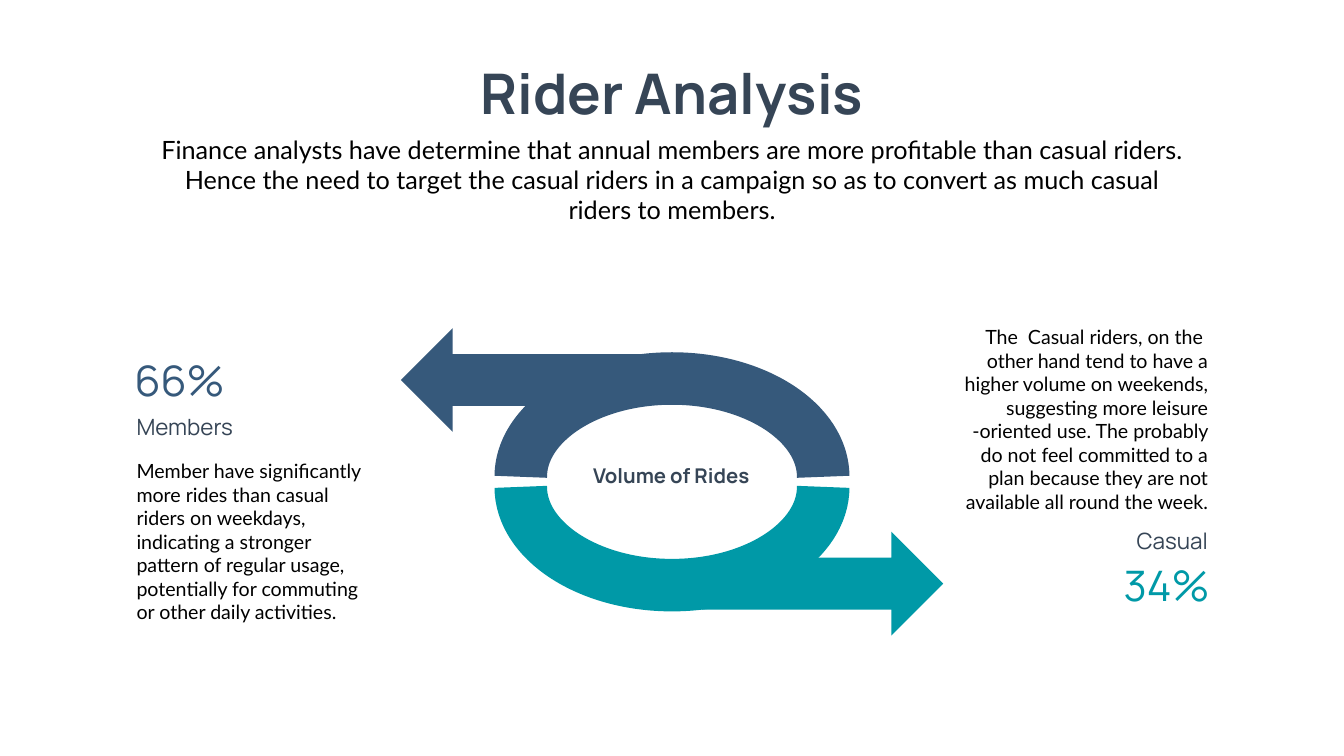
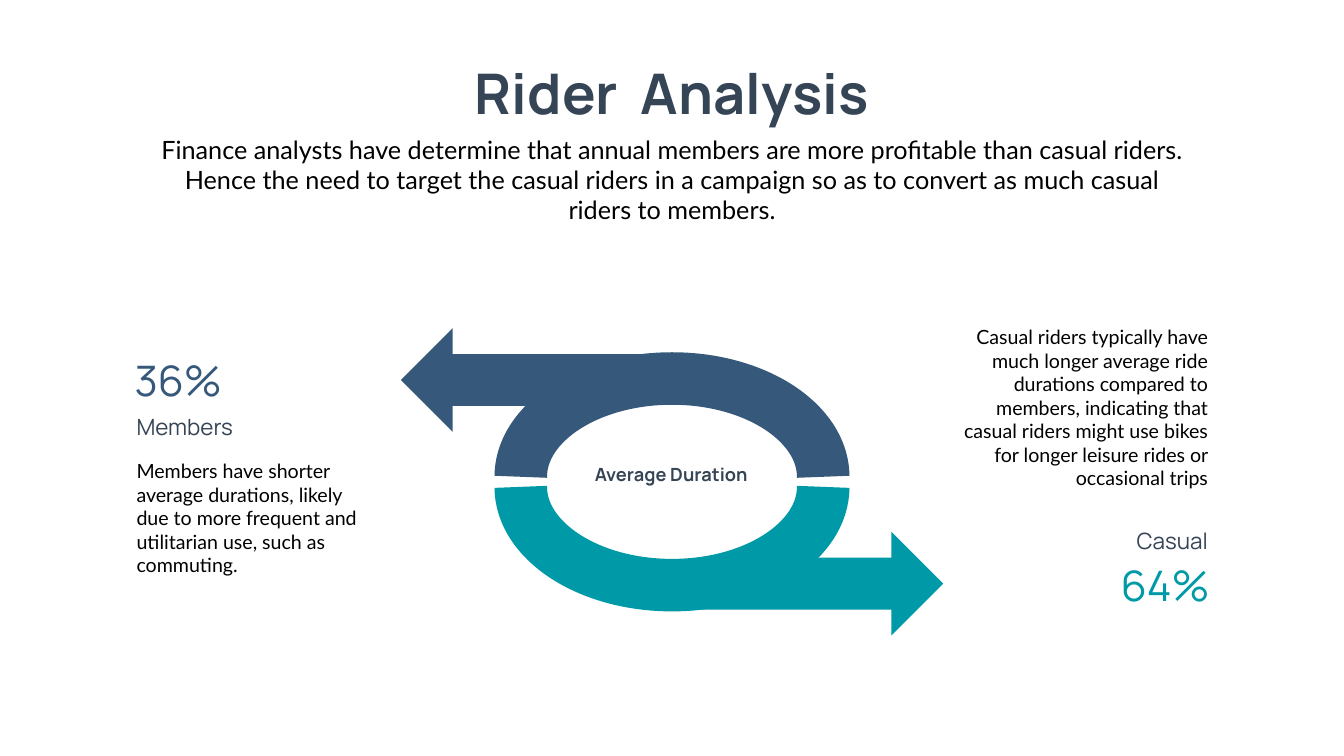
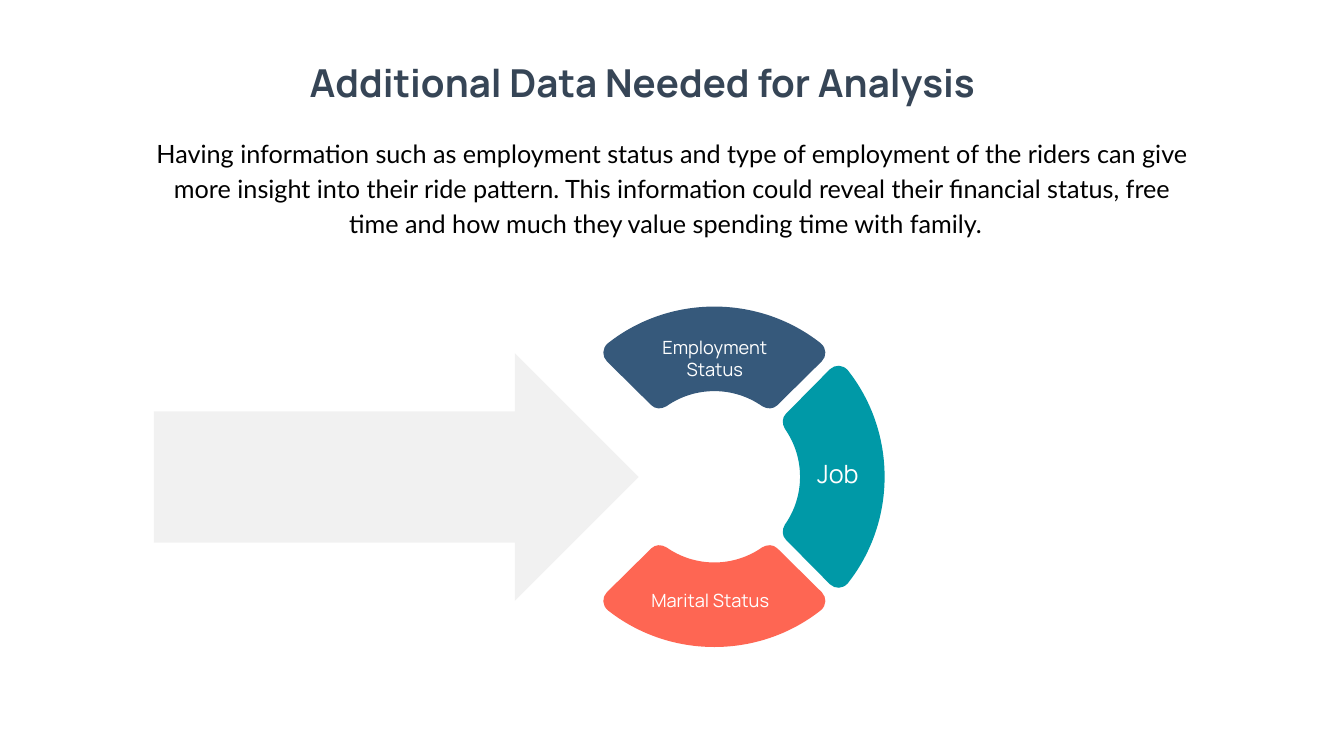
import pptx
import pptx.dml.color
import pptx.enum.shapes
import pptx.enum.text
import pptx.oxml.ns
import pptx.util
from lxml import etree

EMU_PER_PX = 9144
NAVY, TEAL, CORAL, GREY = "36597B", "0099A7", "FE6653", "7F7F7F"
SLATE, BLACK, WHITE = "364556", "000000", "FFFFFF"
LEFT, CENTER, RIGHT = (
    pptx.enum.text.PP_ALIGN.LEFT,
    pptx.enum.text.PP_ALIGN.CENTER,
    pptx.enum.text.PP_ALIGN.RIGHT,
)
FRAME_FORMAT = {
    "word_wrap": True,
    "vertical_anchor": pptx.enum.text.MSO_ANCHOR.TOP,
    "margin_left": 10 * EMU_PER_PX,
    "margin_right": 10 * EMU_PER_PX,
    "margin_top": 5 * EMU_PER_PX,
    "margin_bottom": 5 * EMU_PER_PX,
}
FIXED = pptx.enum.text.MSO_AUTO_SIZE.NONE
GROWING = pptx.enum.text.MSO_AUTO_SIZE.SHAPE_TO_FIT_TEXT
NOTE_STYLE = {"font": "Lato", "sizing": FIXED}

TITLE_BOX = (676, 112, 1314, 145)
INTRO = (
    "Finance analysts have determine that annual members are more profitable than "
    "casual riders. Hence the need to target the casual riders in a campaign so as "
    "to convert as much casual riders to members."
)
RIDER_SLIDES = [
    {
        "title": "Rider Analysis",
        "measure": "Volume of Rides",
        "measure_size": 29,
        "member_share": "66%",
        "member_note": "Member have significantly more rides than casual riders on "
        "weekdays, indicating a stronger pattern of regular usage, potentially for "
        "commuting or other daily activities.",
        "casual_share": "34%",
        "casual_note": "The  Casual riders, on the  other hand tend to have a higher "
        "volume on weekends, suggesting more leisure -oriented use. The probably do "
        "not feel committed to a plan because they are not available all round the "
        "week.",
    },
    {
        "title": "Rider  Analysis",
        "measure": "Average Duration",
        "measure_size": 26,
        "member_share": "36%",
        "member_note": "Members have shorter average durations, likely due to more "
        "frequent and utilitarian use, such as commuting.",
        "casual_share": "64%",
        "casual_note": "Casual riders typically have much longer average ride durations "
        "compared to members, indicating that casual riders might use bikes for longer "
        "leisure rides or occasional trips",
    },
]
DATA_INTRO = (
    "Having information such as employment status and type of employment of the riders "
    "can give more insight into their ride pattern. This information could reveal their "
    "financial status, free time and how much they value spending time with family.  "
)

HALF_RING = [
    (-300, 0),
    (-300, 107), (-166, 195), (0, 195),
    (166, 195), (300, 107), (300, 0),
]
RING_DEPTH = 195
WHEEL_CENTER = (1417, 946)
WEDGE = [
    (-125, -142),
    (-213, -229), (-213, -229), (-213, -229),
    (-223, -239), (-223, -255), (-211, -265),
    (-88, -362), (88, -362), (211, -265),
    (223, -255), (223, -239), (213, -229),
    (125, -142), (125, -142), (125, -142),
    (117, -134), (105, -134), (95, -140),
    (38, -180), (-38, -180), (-95, -140),
    (-105, -134), (-117, -134), (-125, -142),
]


def px(length):
    """Turn a length in px into EMU."""
    return round(length * EMU_PER_PX)


def color(hex_code):
    """Return the RGB colour of a hex string."""
    return pptx.dml.color.RGBColor.from_string(hex_code)


def apply_format(target, values):
    """Set each attribute named in values on target."""
    for attribute, value in values.items():
        setattr(target, attribute, value)


def write_text(holder, text, size, hex_code, align, font="Manrope", bold=False,
               spacing=1.0, sizing=GROWING):
    """Fill a text holder with one formatted paragraph."""
    frame = holder.text_frame
    apply_format(frame, {**FRAME_FORMAT, "auto_size": sizing})
    paragraph = frame.paragraphs[0]
    apply_format(paragraph, {"alignment": align, "line_spacing": spacing})
    run = paragraph.add_run()
    run.text = text
    apply_format(run.font, {"name": font, "size": pptx.util.Pt(size), "bold": bold})
    run.font.color.rgb = color(hex_code)


def add_label(slide, box, text, size, hex_code, align, **style):
    """Add a text box at a px box."""
    label = slide.shapes.add_textbox(*map(px, box))
    write_text(label, text, size, hex_code, align, **style)


def place(holder, box):
    """Move a placeholder to a px box."""
    apply_format(holder, dict(zip(("left", "top", "width", "height"), map(px, box))))


def add_headed_slide(deck, title, title_box, title_size, intro, intro_height, spacing=1.0):
    """Add a slide with its title and centred introduction."""
    slide = deck.slides.add_slide(deck.slide_layouts[1])
    heading, introduction = slide.placeholders
    place(heading, title_box)
    write_text(heading, title, title_size, SLATE, CENTER, bold=True)
    place(introduction, (292, 261, 2082, intro_height))
    opening = introduction.text_frame.paragraphs[0]
    properties = opening._p.get_or_add_pPr()
    properties.set("marL", "0")
    properties.set("indent", "0")
    etree.SubElement(properties, pptx.oxml.ns.qn("a:buNone"))
    opening.space_before = pptx.util.Pt(0)
    write_text(introduction, intro, 36, BLACK, CENTER, font="Lato", spacing=spacing)
    return slide


def paint(shape, hex_code):
    """Give a shape a plain fill without line or shadow."""
    shape.shadow.inherit = False
    shape.fill.solid()
    shape.fill.fore_color.rgb = color(hex_code)
    shape.line.fill.background()


def add_arrow(slide, box, hex_code, rotation=0, shaft=0.5, opacity=100):
    """Add a block arrow that points right before rotation."""
    arrow = slide.shapes.add_shape(pptx.enum.shapes.MSO_SHAPE.RIGHT_ARROW, *map(px, box))
    arrow.adjustments[0] = shaft
    arrow.rotation = rotation
    paint(arrow, hex_code)
    if opacity < 100:
        fill_color = arrow.fill._xPr.find(".//" + pptx.oxml.ns.qn("a:srgbClr"))
        etree.SubElement(fill_color, pptx.oxml.ns.qn("a:alpha"), val=str(opacity * 1000))


def add_curve(slide, points, close):
    """Add a freeform of cubic curves, three px points to each curve."""
    outline = [(px(x), px(y)) for x, y in points]
    builder = slide.shapes.build_freeform(*outline[0])
    builder.add_line_segments(outline[1:], close=close)
    shape = builder.convert_to_shape()
    segments = list(shape._element.iter(pptx.oxml.ns.qn("a:lnTo")))
    for first in range(0, len(segments), 3):
        cubic = etree.Element(pptx.oxml.ns.qn("a:cubicBezTo"))
        segments[first].addprevious(cubic)
        for segment in segments[first:first + 3]:
            cubic.append(segment[0])
            segment.getparent().remove(segment)
    return shape


def add_half_ring(slide, center, direction, hex_code):
    """Add half an ellipse as a thick line, below (1) or above (-1) its center."""
    center_x, center_y = center
    middle = RING_DEPTH / 2
    points = [
        (center_x - direction * (y - middle), center_y + direction * middle + x)
        for x, y in HALF_RING
    ]
    ring = add_curve(slide, points, close=False)
    ring.rotation = 270
    ring.shadow.inherit = False
    ring.fill.background()
    ring.line.color.rgb = color(hex_code)
    ring.line.width = pptx.util.Pt(75)


def add_wedge(slide, quarter_turns, hex_code):
    """Add a rounded wheel wedge, turned clockwise from the top."""
    points = WEDGE
    for _ in range(quarter_turns):
        points = [(-y, x) for x, y in points]
    center_x, center_y = WHEEL_CENTER
    wedge = add_curve(slide, [(center_x + x, center_y + y) for x, y in points], close=True)
    paint(wedge, hex_code)


def add_rider_slide(deck, riders):
    """Add a slide that compares members with casual riders."""
    slide = add_headed_slide(deck, riders["title"], TITLE_BOX, 80, INTRO, 192)
    add_half_ring(slide, (1333, 966), 1, TEAL)
    add_half_ring(slide, (1333, 946), -1, NAVY)
    add_arrow(slide, (1392, 1055, 479, 206), TEAL)
    add_arrow(slide, (795, 651, 479, 206), NAVY, rotation=180)
    add_label(slide, (261, 814, 359, 64), "Members", 32, SLATE, LEFT)
    add_label(slide, (261, 906, 478, 340), riders["member_note"], 28, BLACK, LEFT, **NOTE_STYLE)
    add_label(slide, (257, 699, 222, 111), riders["member_share"], 60, NAVY, LEFT)
    add_label(slide, (1928, 1041, 478, 64), "Casual", 32, SLATE, RIGHT)
    add_label(slide, (1871, 640, 535, 340), riders["casual_note"], 28, BLACK, RIGHT, **NOTE_STYLE)
    add_label(slide, (2187, 1106, 222, 111), riders["casual_share"], 60, TEAL, RIGHT)
    measure_size = riders["measure_size"]
    add_label(
        slide, (1152, 914, 359, 2 * measure_size), riders["measure"], measure_size,
        SLATE, CENTER, bold=True,
    )


def add_data_slide(deck):
    """Add the slide on further data about riders."""
    slide = add_headed_slide(
        deck, "Additional Data Needed for Analysis", (210, 112, 2128, 103), 55,
        DATA_INTRO, 291, spacing=1.15,
    )
    for quarter_turns, hex_code in ((1, TEAL), (2, CORAL), (0, NAVY)):
        add_wedge(slide, quarter_turns, hex_code)
    add_arrow(slide, (305, 701, 962, 491), GREY, shaft=0.53, opacity=10)
    add_label(slide, (1285, 663, 266, 98), "Employment Status", 26, WHITE, CENTER)
    add_label(slide, (1267, 1164, 284, 54), "Marital Status", 26, WHITE, CENTER)
    add_label(slide, (1611, 904, 266, 71), "Job", 36, WHITE, LEFT)


def main():
    """Build and save the deck."""
    deck = pptx.Presentation()
    apply_format(deck, {"slide_width": px(2666), "slide_height": px(1500)})
    for riders in RIDER_SLIDES:
        add_rider_slide(deck, riders)
    add_data_slide(deck)
    deck.save("out.pptx")


if __name__ == "__main__":
    main()
